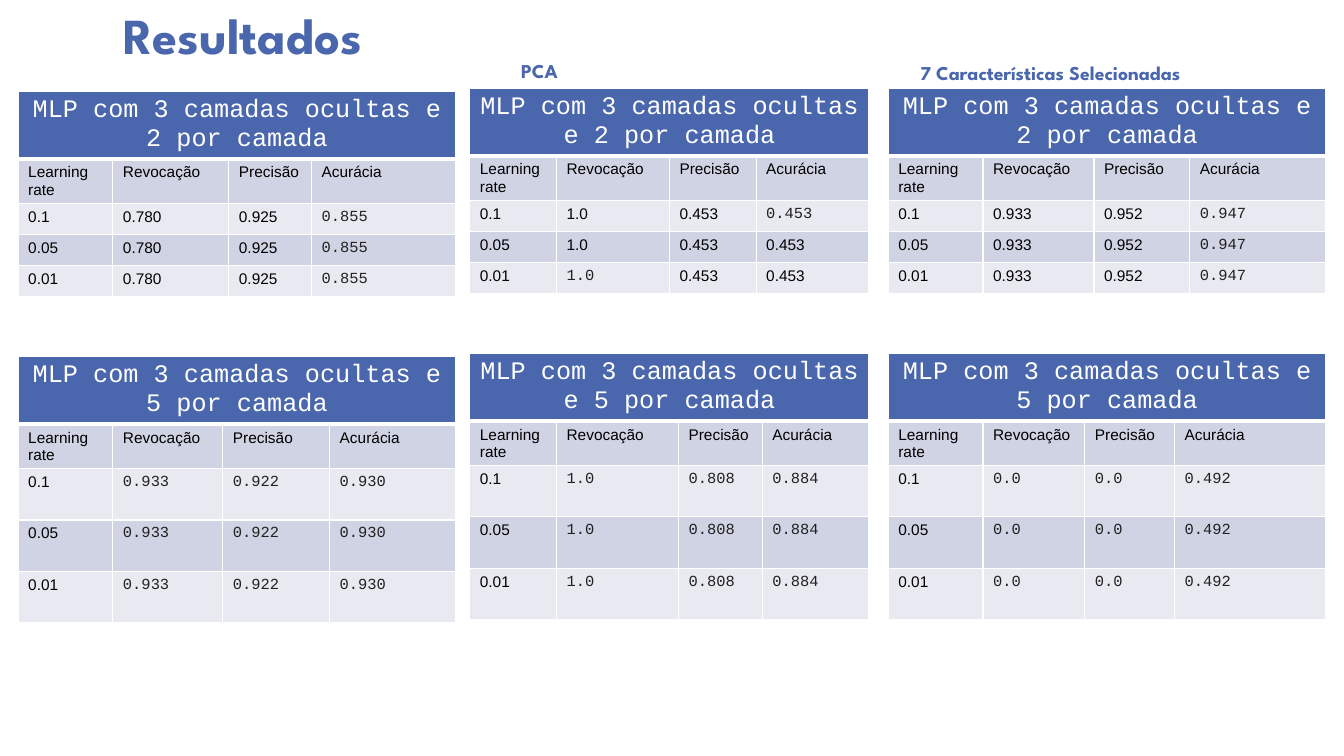
from dataclasses import dataclass

from lxml import etree
from pptx import Presentation
from pptx.dml.color import RGBColor
from pptx.enum.text import MSO_ANCHOR, PP_ALIGN
from pptx.oxml.ns import qn
from pptx.util import Inches, Pt

CENTER, LEFT = PP_ALIGN.CENTER, PP_ALIGN.LEFT
BOTTOM = MSO_ANCHOR.BOTTOM

COLORS = {
    "accent": "4A66AC",
    "band_dark": "D0D3E3",
    "band_light": "E9EAF1",
    "white": "FFFFFF",
    "black": "000000",
    "ink": "212121",
}

# Font settings, each with the colour that goes with it
FORMATS = {
    "title": ({"name": "League Spartan", "size": Pt(36), "bold": True}, "accent"),
    "label": ({"name": "League Spartan", "size": Pt(14), "bold": True}, "accent"),
    "header": ({"name": "Courier New", "size": Pt(18), "bold": False}, "white"),
    "plain": ({"name": "Arial", "size": Pt(11), "bold": False}, "black"),
    "mono": ({"name": "Courier New", "size": Pt(11), "bold": False}, "ink"),
}

COLUMN_NAMES = ["Learning rate", "Revocação", "Precisão", "Acurácia"]
LEARNING_RATES = ["0.1", "0.05", "0.01"]
LAST_COLUMN = {(row, 3) for row in range(3)}
ALL_SCORES = {(row, column) for row in range(3) for column in (1, 2, 3)}


@dataclass
class Label:
    text: str
    left: float
    top: float
    width: float


@dataclass
class Result:
    neurons: int
    left: float
    top: float
    widths: list[float]
    scores: list[list[str]]
    mono: set[tuple[int, int]]  # (learning rate, column) pairs
    row_height: float


LABELS = [
    Label("PCA", 5.07, 0.38, 2.74),
    Label("7 Características Selecionadas", 9.03, 0.4, 3.18),
]

RESULTS = [
    Result(2, 0.18, 0.91, [0.94, 1.15, 0.82, 1.43],
           [["0.780", "0.925", "0.855"]] * 3, LAST_COLUMN, 0.31),
    Result(5, 0.18, 3.54, [0.94, 1.09, 1.06, 1.25],
           [["0.933", "0.922", "0.930"]] * 3, ALL_SCORES, 0.51),
    Result(2, 4.66, 0.88, [0.86, 1.12, 0.86, 1.12],
           [["1.0", "0.453", "0.453"]] * 3, {(0, 3), (2, 1)}, 0.31),
    Result(5, 4.66, 3.51, [0.86, 1.21, 0.83, 1.06],
           [["1.0", "0.808", "0.884"]] * 3, ALL_SCORES, 0.51),
    Result(2, 8.81, 0.88, [0.94, 1.1, 0.95, 1.35],
           [["0.933", "0.952", "0.947"]] * 3, LAST_COLUMN, 0.31),
    Result(5, 8.81, 3.51, [0.94, 1.01, 0.89, 1.5],
           [["0.0", "0.0", "0.492"]] * 3, ALL_SCORES, 0.51),
]


def color(name: str) -> RGBColor:
    return RGBColor.from_string(COLORS[name])


def write(frame, text: str, style: str, align=LEFT) -> None:
    """Put one formatted paragraph in a text frame."""
    para = frame.paragraphs[0]
    para.alignment = align
    span = para.add_run()
    span.text = text
    settings, color_name = FORMATS[style]
    for name, value in settings.items():
        setattr(span.font, name, value)
    span.font.color.rgb = color(color_name)


def write_heading(box, text: str, style: str) -> None:
    frame = box.text_frame
    frame.word_wrap = True
    frame.vertical_anchor = BOTTOM
    write(frame, text, style)
    frame.paragraphs[0].line_spacing = 0.9


def set_borders(cell, top: int, bottom: int) -> None:
    """Draw white cell borders; they come before the fill in the XML."""
    properties = cell._tc.get_or_add_tcPr()
    sides = {"lnL": 1, "lnR": 1, "lnT": top, "lnB": bottom}
    for position, (side, points) in enumerate(sides.items()):
        line = etree.Element(qn(f"a:{side}"), w=str(Pt(points)))
        fill = etree.SubElement(line, qn("a:solidFill"))
        etree.SubElement(fill, qn("a:srgbClr"), val=COLORS["white"])
        properties.insert(position, line)


def add_result(page, result: Result) -> None:
    heights = [0.66, 0.44] + [result.row_height] * len(LEARNING_RATES)
    table = page.shapes.add_table(
        len(heights), len(COLUMN_NAMES), Inches(result.left), Inches(result.top),
        Inches(sum(result.widths)), Inches(sum(heights))).table
    table.first_row = table.horz_banding = False
    for column, width in zip(table.columns, result.widths):
        column.width = Inches(width)
    for row, height in zip(table.rows, heights):
        row.height = Inches(height)

    # Header across all columns
    header = table.cell(0, 0)
    header.merge(table.cell(0, len(COLUMN_NAMES) - 1))
    write(header.text_frame,
          f"MLP com 3 camadas ocultas e {result.neurons} por camada", "header", CENTER)

    # Column names and scores
    body = [COLUMN_NAMES] + [
        [rate, *scores] for rate, scores in zip(LEARNING_RATES, result.scores)]
    for row, texts in enumerate(body, start=1):
        for column, text in enumerate(texts):
            style = "mono" if (row - 2, column) in result.mono else "plain"
            write(table.cell(row, column).text_frame, text, style)

    # Fills and borders
    for row in range(len(heights)):
        band = "accent" if row == 0 else "band_dark" if row % 2 else "band_light"
        for column in range(len(COLUMN_NAMES)):
            cell = table.cell(row, column)
            cell.fill.solid()
            cell.fill.fore_color.rgb = color(band)
            set_borders(cell, 3 if row == 1 else 1, 3 if row == 0 else 1)


def main() -> None:
    deck = Presentation()
    deck.slide_width, deck.slide_height = Inches(13.33), Inches(7.5)
    page = deck.slides.add_slide(deck.slide_layouts[5])

    # Title
    title = page.shapes.title
    title.left, title.top = Inches(1.12), Inches(0)
    title.width, title.height = Inches(9.5), Inches(0.7)
    write_heading(title, "Resultados", "title")

    # Result tables
    for result in RESULTS:
        add_result(page, result)

    # Labels above the second and third columns of tables
    for label in LABELS:
        box = page.shapes.add_textbox(Inches(label.left), Inches(label.top),
                                      Inches(label.width), Inches(0.49))
        write_heading(box, label.text, "label")

    deck.save("out.pptx")


if __name__ == "__main__":
    main()
